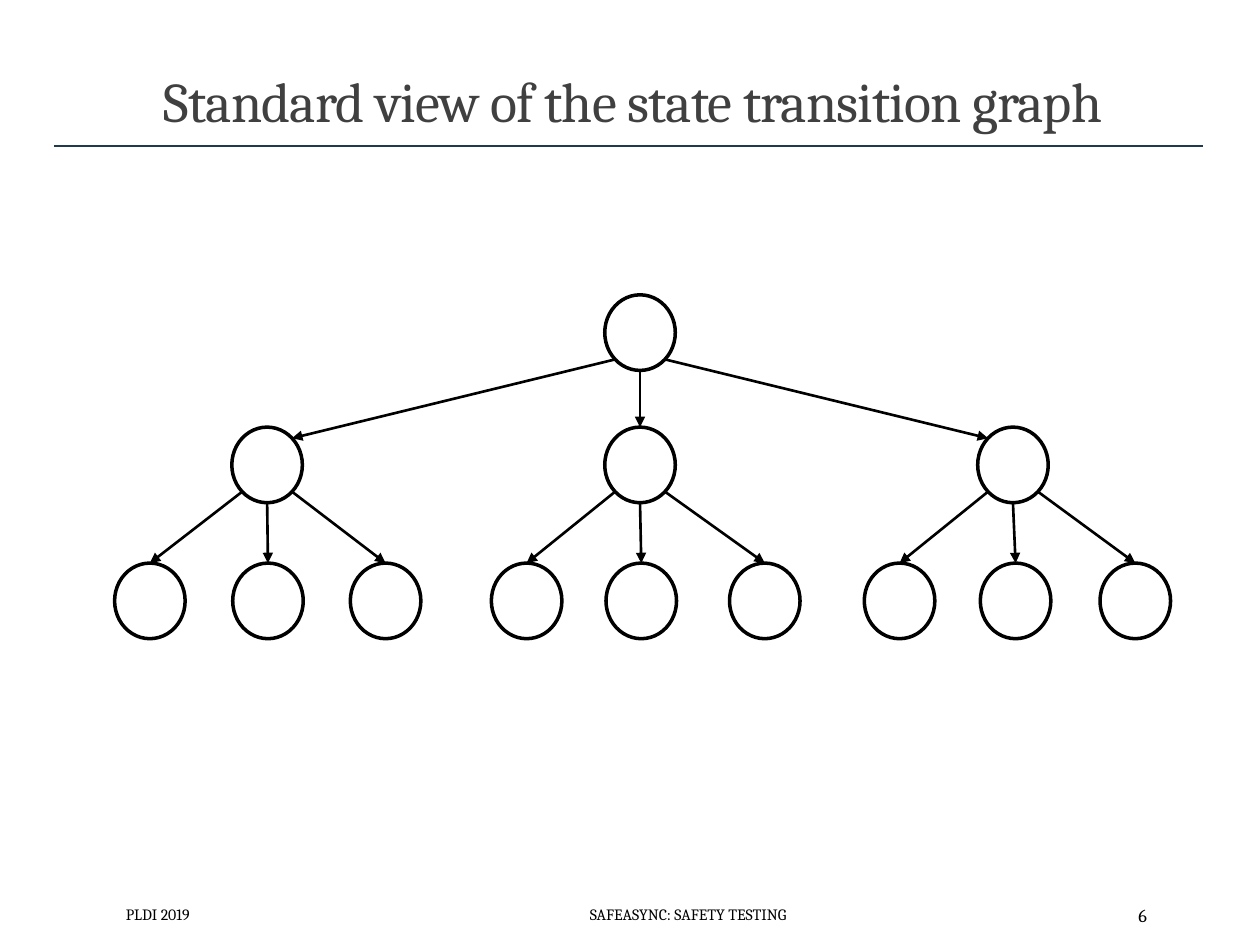
"""Builds the slide showing the standard view of a state transition graph."""
from dataclasses import dataclass
from math import sqrt

from lxml.etree import SubElement
from pptx import Presentation
from pptx.dml.color import RGBColor
from pptx.enum.shapes import MSO_CONNECTOR, MSO_SHAPE
from pptx.enum.text import MSO_ANCHOR, PP_ALIGN
from pptx.oxml.ns import qn
from pptx.util import Pt


@dataclass(frozen=True)
class Theme:
    """Colours, type sizes and line widths of the slide."""
    font: str = "Cambria"
    title_color: RGBColor = RGBColor(0x40, 0x40, 0x40)
    rule_color: RGBColor = RGBColor(0x1F, 0x39, 0x4D)
    ink: RGBColor = RGBColor(0, 0, 0)
    title_size: float = 32
    footer_size: float = 9
    number_size: float = 10.5
    rule_width: float = 1
    node_width: float = 2
    edge_width: float = 1.5


THEME = Theme()
NODE_W, NODE_H = 40.3, 43.2
ROOT_TOP, STATE_TOP, LEAF_TOP = 168.5, 244.1, 321.8
ROOT_LEFT = 345.6
TREE = {
    132.5: (65.5, 133, 200.2),
    345.6: (280.8, 346.3, 416.9),
    558.7: (493.9, 560.2, 628.6),
}


def add_text(s, box, text, size, color, align, anchor=MSO_ANCHOR.MIDDLE):
    """Add a one-line text box and return its paragraph."""
    tf = s.shapes.add_textbox(*map(Pt, box)).text_frame
    tf.word_wrap = True
    tf.vertical_anchor = anchor
    p = tf.paragraphs[0]
    p.alignment = align
    r = p.add_run()
    r.text = text
    r.font.name = THEME.font
    r.font.size = Pt(size)
    r.font.color.rgb = color
    return p


def add_title(s, text):
    """Add the tightly spaced title and the rule under it."""
    p = add_text(s, (64.8, 16.6, 594, 63.3), text, THEME.title_size,
                 THEME.title_color, PP_ALIGN.CENTER, MSO_ANCHOR.BOTTOM)
    p.line_spacing = 0.85
    p.runs[0].font._element.set("spc", "-50")
    add_line(s, (31, 83.5), (687.6, 83.5), THEME.rule_color, THEME.rule_width)


def add_line(s, start, end, color, width):
    """Add a straight connector without shadow and return it."""
    sp = s.shapes.add_connector(MSO_CONNECTOR.STRAIGHT, *map(Pt, start + end))
    sp.line.color.rgb = color
    sp.line.width = Pt(width)
    SubElement(sp._element.spPr, qn("a:effectLst"))
    return sp


def add_node(s, left, top):
    """Add one hollow state of the graph."""
    sp = s.shapes.add_shape(MSO_SHAPE.OVAL, *map(Pt, (left, top, NODE_W, NODE_H)))
    sp.shadow.inherit = False
    sp.fill.background()
    sp.line.color.rgb = THEME.ink
    sp.line.width = Pt(THEME.node_width)


def rim_point(node, dx, dy):
    """Return the point where direction (dx, dy) meets the rim of a node."""
    left, top = node
    scale = 2 * sqrt(dx * dx + dy * dy)
    return left + NODE_W * (0.5 + dx / scale), top + NODE_H * (0.5 + dy / scale)


def add_edge(s, parent, child, side, land_on_top):
    """Add an arrow from the lower rim of a parent to a child."""
    start = rim_point(parent, side, 1)
    end = rim_point(child, 0 if land_on_top else -side, -1)
    sp = add_line(s, start, end, THEME.ink, THEME.edge_width)
    SubElement(sp.line._get_or_add_ln(), qn("a:tailEnd"), type="triangle")


def add_family(s, parent, lefts, top, land_on_top):
    """Add three children of a parent and the arrows to them."""
    for side, left in zip((-1, 0, 1), lefts):
        add_node(s, left, top)
        add_edge(s, parent, (left, top), side, land_on_top)


def add_footer(s):
    """Add the venue, the running title and the slide number."""
    for left, width, text, size, align in (
        (64.8, 146.2, "PLDI 2019", THEME.footer_size, PP_ALIGN.LEFT),
        (215.3, 355.7, "SAFEASYNC: SAFETY TESTING", THEME.footer_size, PP_ALIGN.CENTER),
        (584.6, 77.8, "6", THEME.number_size, PP_ALIGN.RIGHT),
    ):
        add_text(s, (left, 508.3, width, 28.8), text, size, THEME.ink, align)


def main():
    """Build and save the slide."""
    prs = Presentation()
    prs.slide_width, prs.slide_height = Pt(720), Pt(540)
    s = prs.slides.add_slide(prs.slide_layouts[6])
    add_title(s, "Standard view of the state transition graph")
    add_footer(s)
    root = (ROOT_LEFT, ROOT_TOP)
    add_node(s, *root)
    add_family(s, root, TREE, STATE_TOP, land_on_top=False)
    for left, leaves in TREE.items():
        add_family(s, (left, STATE_TOP), leaves, LEAF_TOP, land_on_top=True)
    prs.save("out.pptx")


if __name__ == "__main__":
    main()
